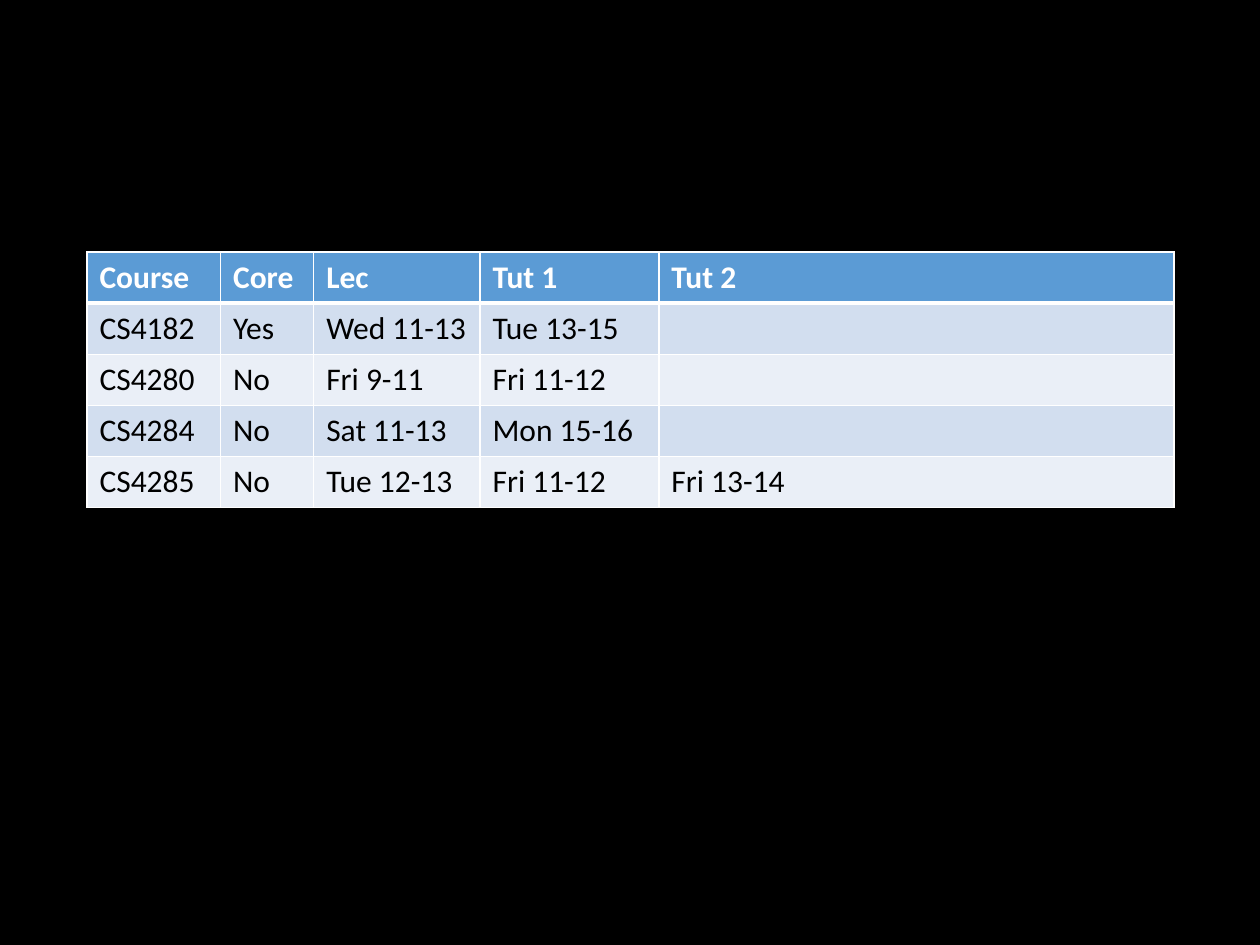
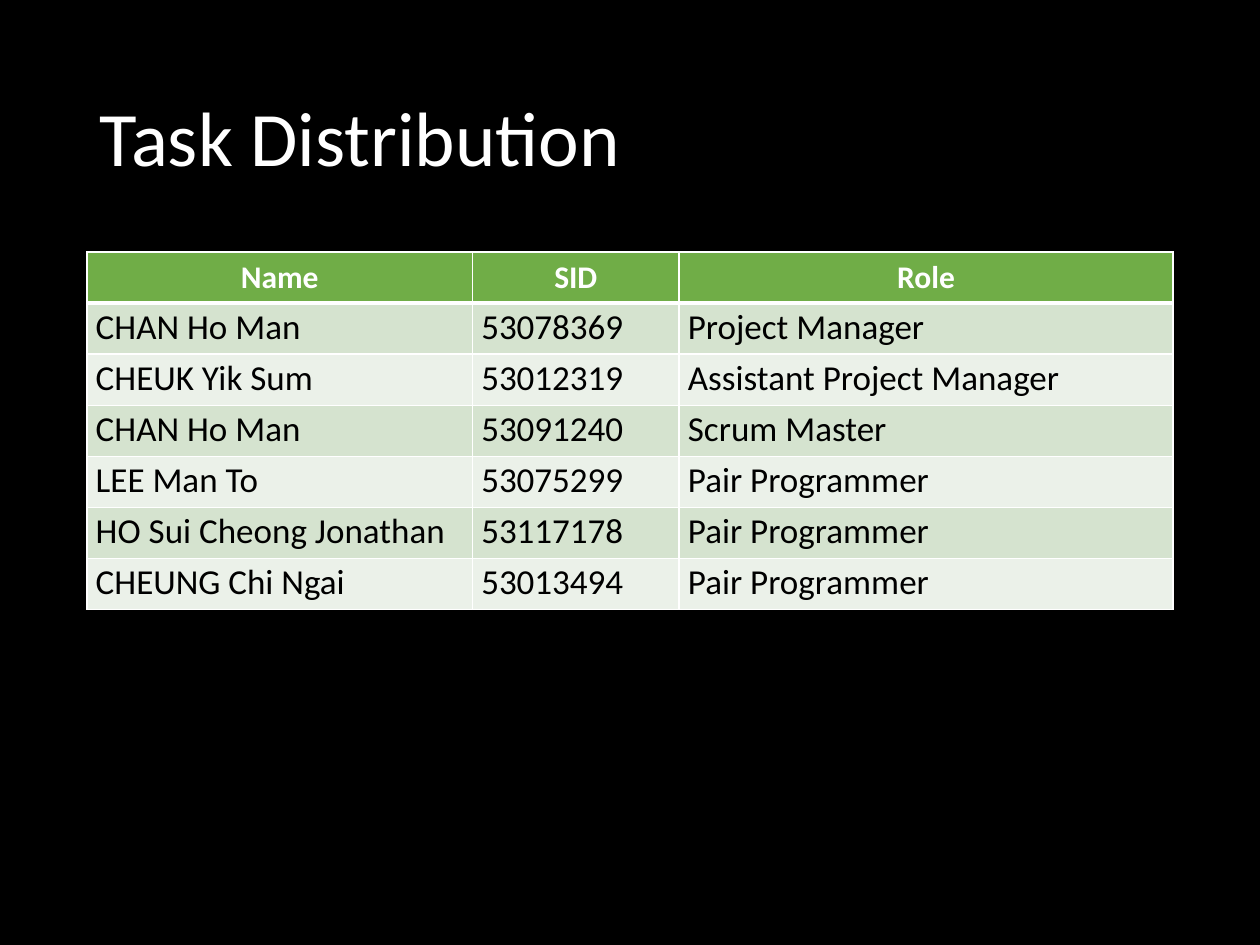
from pptx import Presentation
from pptx.dml.color import RGBColor
from pptx.enum import text
from pptx.oxml import parse_xml
from pptx.oxml.ns import nsdecls
from pptx.util import Inches, Pt

FONT = "Calibri"
BLACK, WHITE = "000000", "FFFFFF"
LEFT, WIDTH = 0.69, 8.62
TABLE_TOP = 2


def add_run(p, content, size, color, bold=False):
    r = p.add_run()
    r.text = content
    r.font.name = FONT
    r.font.size = Pt(size)
    r.font.bold = bold
    r.font.color.rgb = RGBColor.from_string(color)


def add_borders(cell, top, bottom):
    """Draw white cell borders; top and bottom are widths in points."""
    tc_pr = cell._tc.get_or_add_tcPr()
    for side, width in (("L", 1), ("R", 1), ("T", top), ("B", bottom)):
        tc_pr.append(parse_xml(
            f'<a:ln{side} {nsdecls("a")} w="{Pt(width)}"><a:solidFill>'
            f'<a:srgbClr val="{WHITE}"/></a:solidFill></a:ln{side}>'))


prs = Presentation()
prs.slide_width, prs.slide_height = Inches(10), Inches(7.5)
bg = prs.slide_master.background.fill
bg.solid()
bg.fore_color.rgb = RGBColor.from_string(BLACK)

timetable = {
    "title": None,
    "height": 2.03,
    "columns": [1.06, 0.74, 1.32, 1.42, 4.09],
    "fills": ["5B9BD5", "D2DEEF", "EAEFF7"],
    "header_align": text.PP_ALIGN.LEFT,
    "body_size": 18,
    "tight": False,
    "rows": [
        ["Course", "Core", "Lec", "Tut 1", "Tut 2"],
        ["CS4182", "Yes", "Wed 11-13", "Tue 13-15", ""],
        ["CS4280", "No", "Fri 9-11", "Fri 11-12", ""],
        ["CS4284", "No", "Sat 11-13", "Mon 15-16", ""],
        ["CS4285", "No", "Tue 12-13", "Fri 11-12", "Fri 13-14"],
    ],
}
tasks = {
    "title": "Task Distribution",
    "height": 2.84,
    "columns": [3.06, 1.64, 3.92],
    "fills": ["70AD47", "D5E3CF", "EBF1E9"],
    "header_align": text.PP_ALIGN.CENTER,
    "body_size": 20,
    "tight": True,
    "rows": [
        ["Name", "SID", "Role"],
        ["CHAN Ho Man", "53078369", "Project Manager"],
        ["CHEUK Yik Sum", "53012319", "Assistant Project Manager"],
        ["CHAN Ho Man", "53091240", "Scrum Master"],
        ["LEE Man To", "53075299", "Pair Programmer"],
        ["HO Sui Cheong Jonathan", "53117178", "Pair Programmer"],
        ["CHEUNG Chi Ngai", "53013494", "Pair Programmer"],
    ],
}

for page in (timetable, tasks):
    s = prs.slides.add_slide(prs.slide_layouts[5 if page["title"] else 6])
    if page["title"]:
        title = s.shapes.title
        title.left, title.top = Inches(LEFT), Inches(0.4)
        title.width, title.height = Inches(WIDTH), Inches(1.45)
        tf = title.text_frame
        tf.vertical_anchor = text.MSO_ANCHOR.MIDDLE
        p = tf.paragraphs[0]
        p.alignment = text.PP_ALIGN.LEFT
        p.line_spacing = 0.9
        add_run(p, page["title"], 44, WHITE)

    rows = page["rows"]
    table = s.shapes.add_table(
        len(rows), len(rows[0]), Inches(LEFT), Inches(TABLE_TOP),
        Inches(WIDTH), Inches(page["height"])).table
    for column, width in zip(table.columns, page["columns"]):
        column.width = Inches(width)

    header_fill, *bands = page["fills"]
    for i, row in enumerate(rows):
        header = i == 0
        for j, content in enumerate(row):
            cell = table.cell(i, j)
            add_borders(cell, top=3 if i == 1 else 1, bottom=3 if header else 1)
            cell.fill.solid()
            cell.fill.fore_color.rgb = RGBColor.from_string(
                header_fill if header else bands[(i - 1) % 2])
            p = cell.text_frame.paragraphs[0]
            if header:
                p.alignment = page["header_align"]
                add_run(p, content, 18, WHITE, bold=True)
                continue
            if page["tight"]:
                cell.margin_left = cell.margin_right = Inches(0.07)
                cell.margin_top = cell.margin_bottom = 0
                p.line_spacing = 1.07
            if content:
                add_run(p, content, page["body_size"], BLACK)

prs.save("out.pptx")
